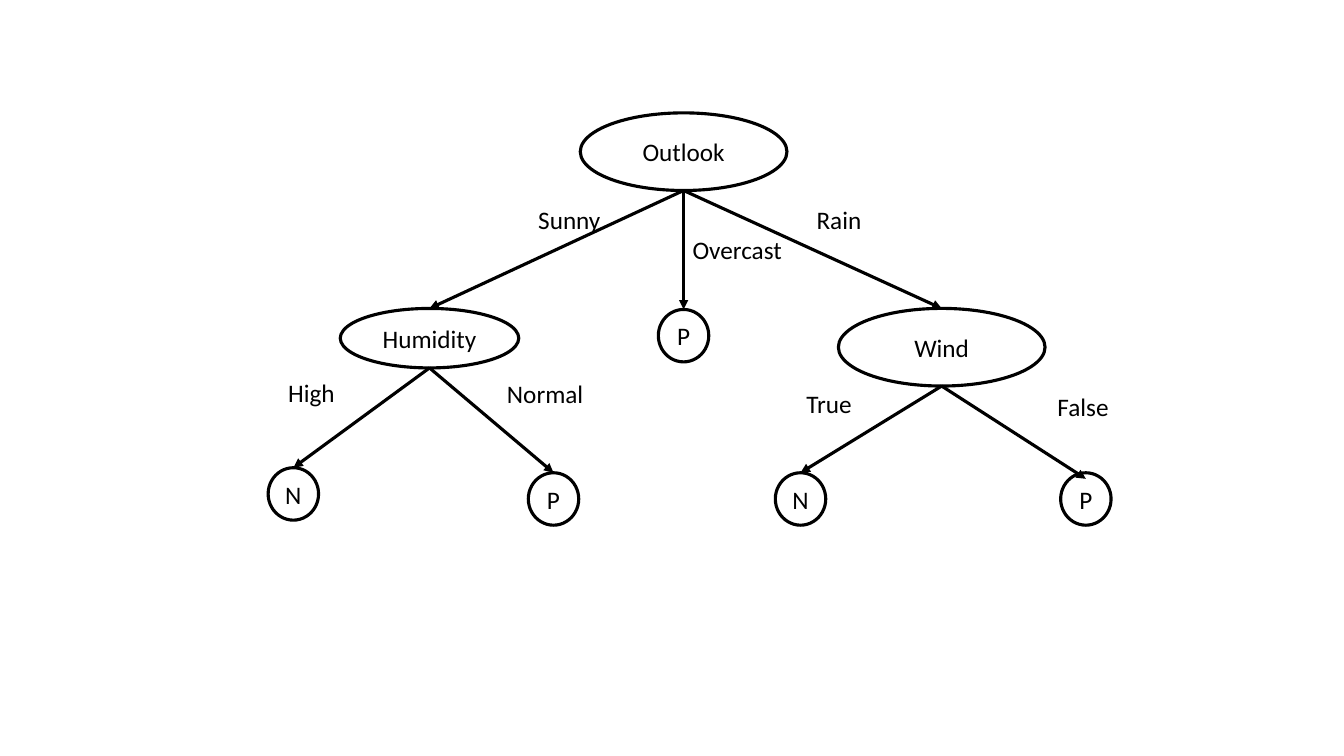
from dataclasses import dataclass

from lxml.etree import SubElement
from pptx import Presentation
from pptx.dml.color import RGBColor
from pptx.enum.shapes import MSO_CONNECTOR, MSO_SHAPE
from pptx.enum.text import MSO_ANCHOR, MSO_AUTO_SIZE, PP_ALIGN
from pptx.oxml.ns import qn
from pptx.util import Inches, Pt


@dataclass(frozen=True)
class Theme:
    """Colours, type and line sizes of the tree."""
    ink: RGBColor = RGBColor(0, 0, 0)
    paper: RGBColor = RGBColor(255, 255, 255)
    font: str = "Calibri"
    text_size: Pt = Pt(18)
    line_width: Pt = Pt(2.25)
    cell: Inches = Inches(0.1)
    leaf_width: float = 5
    leaf_height: float = 5.2
    label_height: float = 4


class TreeSlide:
    """Draws a decision tree on a slide, measured in grid cells."""

    def __init__(self, slide, theme):
        """Keep the slide and its style."""
        self.shapes = slide.shapes
        self.theme = theme

    def grid(self, *cells):
        """Turn columns and rows into lengths."""
        return [round(count * self.theme.cell) for count in cells]

    def wording(self, frame, words, align):
        """Set and format one line of text."""
        frame.text = words
        frame.word_wrap = True
        paragraph = frame.paragraphs[0]
        paragraph.alignment = align
        font = paragraph.runs[0].font
        font.name, font.size = self.theme.font, self.theme.text_size
        font.color.rgb = self.theme.ink

    def outline(self, line):
        """Apply the common stroke."""
        line.color.rgb = self.theme.ink
        line.width = self.theme.line_width

    def node(self, kind, words, centre, top, width, height):
        """Add an outlined node with centred text."""
        node = self.shapes.add_shape(
            kind, *self.grid(centre - width / 2, top, width, height))
        node.shadow.inherit = False
        self.outline(node.line)
        frame = node.text_frame
        frame.margin_left = frame.margin_right = 0
        frame.margin_top = frame.margin_bottom = 0
        frame.vertical_anchor = MSO_ANCHOR.MIDDLE
        self.wording(frame, words, PP_ALIGN.CENTER)
        return node

    def decision(self, words, centre, top, width, height):
        """Add an attribute that is tested."""
        decision = self.node(MSO_SHAPE.OVAL, words, centre, top, width, height)
        decision.fill.solid()
        decision.fill.fore_color.rgb = self.theme.paper
        return decision

    def leaf(self, words, centre, top):
        """Add a class at the end of a branch."""
        leaf = self.node(MSO_SHAPE.FLOWCHART_CONNECTOR, words, centre, top,
                         self.theme.leaf_width, self.theme.leaf_height)
        leaf.fill.background()
        return leaf

    def branch(self, parent, child, overlap=0):
        """Add an arrow from a parent's foot to a child's top."""
        arrow = self.shapes.add_connector(
            MSO_CONNECTOR.STRAIGHT,
            parent.left + parent.width // 2, parent.top + parent.height,
            child.left + child.width // 2, child.top + self.grid(overlap)[0])
        self.outline(arrow.line)
        properties = arrow._element.spPr
        SubElement(properties.get_or_add_ln(), qn("a:tailEnd"), type="triangle")
        SubElement(properties, qn("a:effectLst"))

    def label(self, words, left, top, width):
        """Add the value that leads down a branch."""
        label = self.shapes.add_textbox(
            *self.grid(left, top, width, self.theme.label_height))
        label.text_frame.auto_size = MSO_AUTO_SIZE.SHAPE_TO_FIT_TEXT
        self.wording(label.text_frame, words, PP_ALIGN.LEFT)


def main():
    """Build and save the decision tree."""
    presentation = Presentation()
    presentation.slide_width, presentation.slide_height = Inches(13.33), Inches(7.5)
    slide = presentation.slides.add_slide(presentation.slide_layouts[6])
    tree = TreeSlide(slide, Theme())

    outlook = tree.decision("Outlook", 67.8, 11.2, 20.5, 7.7)
    humidity = tree.decision("Humidity", 42.6, 30.6, 17.7, 5.9)
    wind = tree.decision("Wind", 93.4, 30.6, 20.5, 7.7)
    overcast = tree.leaf("P", 67.8, 30.7)
    high = tree.leaf("N", 29.1, 46.4)
    normal = tree.leaf("P", 54.9, 46.9)
    windy = tree.leaf("N", 79.4, 46.9)
    calm = tree.leaf("P", 107.7, 46.9)

    for parent, children in (
        (outlook, (humidity, overcast, wind)),
        (humidity, (high, normal)),
        (wind, (windy,)),
    ):
        for child in children:
            tree.branch(parent, child)
    tree.branch(wind, calm, overlap=0.6)

    for value, left, top, width in (
        ("Sunny", 52.4, 19.8, 9),
        ("Overcast", 67.7, 22.8, 11.1),
        ("Rain", 80, 19.8, 7.1),
        ("High", 27.6, 36.9, 8),
        ("Normal", 49.3, 37, 11.1),
        ("True", 79, 38, 8),
        ("False", 103.9, 38.3, 8),
    ):
        tree.label(value, left, top, width)

    presentation.save("out.pptx")


if __name__ == "__main__":
    main()
